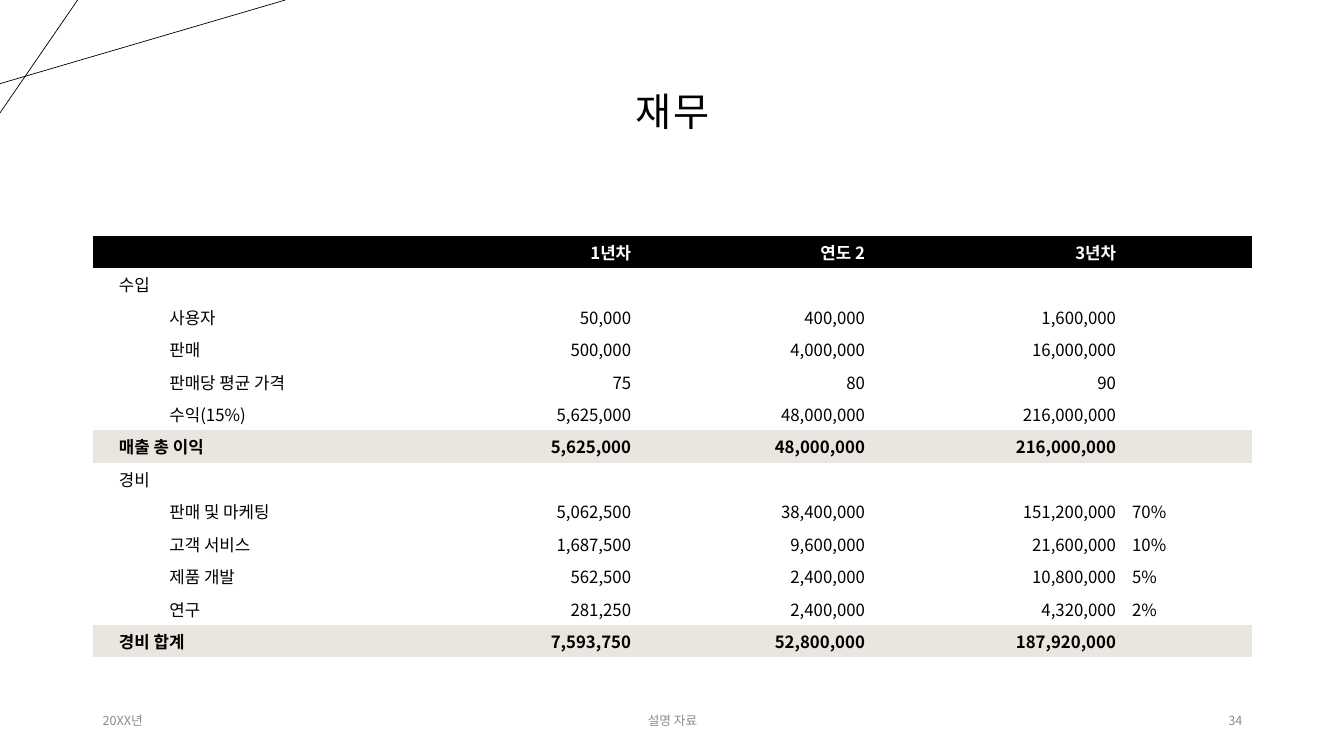
"""Build the finance slide: a three-year table of income and costs."""
from dataclasses import dataclass
from typing import Any

from lxml.etree import SubElement
from pptx import Presentation
from pptx.dml.color import RGBColor
from pptx.enum.shapes import MSO_CONNECTOR
from pptx.enum.text import MSO_ANCHOR, PP_ALIGN
from pptx.oxml.ns import qn
from pptx.util import Emu, Pt

SCALE = 9144
PLAIN = "{2D5ABB26-0587-4C30-8999-92F81FD0307C}"
LEFT, MID, RIGHT = PP_ALIGN.LEFT, PP_ALIGN.CENTER, PP_ALIGN.RIGHT


@dataclass(frozen=True)
class Theme:
    face: str = "Noto Sans CJK KR"
    ink: str = "000000"
    paper: str = "FFFFFF"
    sand: str = "E9E6DF"
    gray: str = "8C8C8C"
    title: int = 28
    body: int = 12
    foot: int = 9
    hair: float = 0.5


THEME = Theme()


@dataclass(frozen=True)
class Style:
    size: int
    color: str
    bold: bool = False
    space: int = 0


@dataclass(frozen=True)
class Label:
    text: str
    box: tuple[int, int, int, int]
    align: PP_ALIGN
    style: Style
    lead: float = 1.0


@dataclass(frozen=True)
class Kind:
    style: Style
    fill: str | None = None
    dent: int = 0


@dataclass(frozen=True)
class Row:
    kind: Kind
    cells: tuple[str, ...]


FOOT = Style(THEME.foot, THEME.gray)
BODY = Style(THEME.body, THEME.ink)
HEAD = Kind(Style(THEME.body, THEME.paper, True), THEME.ink)
GROUP = Kind(BODY)
ITEM = Kind(BODY, dent=50)
TOTAL = Kind(Style(THEME.body, THEME.ink, True), THEME.sand)

LINES = ((0, 83, 283, 0), (77, 0, 0, 112))
LABELS = (
    Label("재무", (92, 40, 1150, 145), MID, Style(THEME.title, THEME.ink, space=150), 0.9),
    Label("20XX년", (92, 695, 300, 40), LEFT, FOOT),
    Label("설명 자료", (442, 695, 450, 40), MID, FOOT),
    Label("34", (942, 695, 300, 40), RIGHT, FOOT),
)
WIDTHS = (354, 188, 232, 249, 127)
ALIGNS = (LEFT, RIGHT, RIGHT, RIGHT, LEFT)
TOP, HIGH = 234, 31
ROWS = (
    Row(HEAD, ("", "1년차", "연도 2", "3년차", "")),
    Row(GROUP, ("수입", "", "", "", "")),
    Row(ITEM, ("사용자", "50,000", "400,000", "1,600,000", "")),
    Row(ITEM, ("판매", "500,000", "4,000,000", "16,000,000", "")),
    Row(ITEM, ("판매당 평균 가격", "75", "80", "90", "")),
    Row(ITEM, ("수익(15%)", "5,625,000", "48,000,000", "216,000,000", "")),
    Row(TOTAL, ("매출 총 이익", "5,625,000", "48,000,000", "216,000,000", "")),
    Row(GROUP, ("경비", "", "", "", "")),
    Row(ITEM, ("판매 및 마케팅", "5,062,500", "38,400,000", "151,200,000", "70%")),
    Row(ITEM, ("고객 서비스", "1,687,500", "9,600,000", "21,600,000", "10%")),
    Row(ITEM, ("제품 개발", "562,500", "2,400,000", "10,800,000", "5%")),
    Row(ITEM, ("연구", "281,250", "2,400,000", "4,320,000", "2%")),
    Row(TOTAL, ("경비 합계", "7,593,750", "52,800,000", "187,920,000", "")),
)


def px(count: int) -> Emu:
    return Emu(count * SCALE)


def put(item: Any, values: dict[str, Any]) -> None:
    for key, value in values.items():
        setattr(item, key, value)


def write(para: Any, text: str, align: PP_ALIGN, style: Style) -> None:
    para.alignment = align
    if not text:
        SubElement(para._p, qn("a:endParaRPr"), sz=str(style.size * 100))
        return
    run = para.add_run()
    run.text = text
    run.font.color.rgb = RGBColor.from_string(style.color)
    put(run.font, {"name": THEME.face, "size": Pt(style.size), "bold": style.bold})
    props = run.font._element
    SubElement(props, qn("a:ea"), typeface=THEME.face)
    if style.space:
        props.set("spc", str(style.space))


def draw_line(slide: Any, ends: tuple[int, int, int, int]) -> None:
    line = slide.shapes.add_connector(MSO_CONNECTOR.STRAIGHT, *map(px, ends))
    line.line.color.rgb = RGBColor.from_string(THEME.ink)
    line.line.width = Pt(THEME.hair)
    SubElement(line.element.spPr, qn("a:effectLst"))


def draw_label(slide: Any, label: Label) -> None:
    frame = slide.shapes.add_textbox(*map(px, label.box)).text_frame
    put(frame, {"word_wrap": True, "vertical_anchor": MSO_ANCHOR.MIDDLE})
    para = frame.paragraphs[0]
    para.line_spacing = label.lead
    write(para, label.text, label.align, label.style)


def draw_cell(cell: Any, text: str, kind: Kind, first: bool, align: PP_ALIGN) -> None:
    put(cell, {
        "vertical_anchor": MSO_ANCHOR.MIDDLE,
        "margin_left": px(26 if first else 8),
        "margin_right": px(8),
        "margin_top": px(4),
        "margin_bottom": px(4),
    })
    if kind.fill:
        cell.fill.solid()
        cell.fill.fore_color.rgb = RGBColor.from_string(kind.fill)
    else:
        cell.fill.background()
    para = cell.text_frame.paragraphs[0]
    write(para, text, align, kind.style)
    if first and kind.dent:
        para.level = 1
        props = para._p.get_or_add_pPr()
        props.set("marL", str(px(kind.dent)))
        props.set("indent", "0")


def draw_table(slide: Any) -> None:
    box = (92, TOP, sum(WIDTHS), HIGH * len(ROWS))
    frame = slide.shapes.add_table(len(ROWS), len(WIDTHS), *map(px, box))
    frame.element.find(".//" + qn("a:tableStyleId")).text = PLAIN
    table = frame.table
    put(table, {"first_row": True, "horz_banding": False})
    for col, width in zip(table.columns, WIDTHS):
        col.width = px(width)
    for line, row in zip(table.rows, ROWS):
        line.height = px(HIGH)
        for spot, (cell, text, align) in enumerate(zip(line.cells, row.cells, ALIGNS)):
            draw_cell(cell, text, row.kind, spot == 0, align)


def main() -> None:
    deck = Presentation()
    put(deck, {"slide_width": px(1333), "slide_height": px(750)})
    slide = deck.slides.add_slide(deck.slide_layouts[6])
    slide.background.fill.solid()
    slide.background.fill.fore_color.rgb = RGBColor.from_string(THEME.paper)
    for ends in LINES:
        draw_line(slide, ends)
    draw_table(slide)
    for label in LABELS:
        draw_label(slide, label)
    deck.save("out.pptx")


if __name__ == "__main__":
    main()
